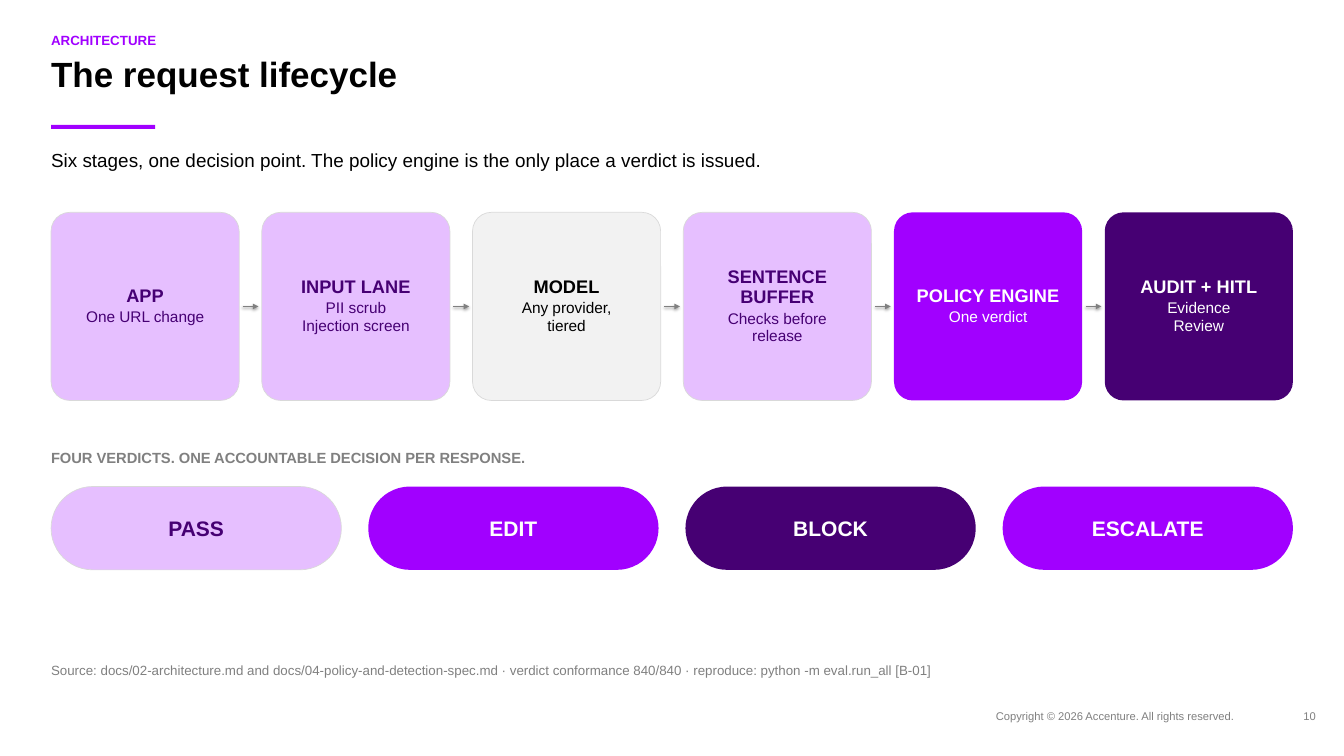
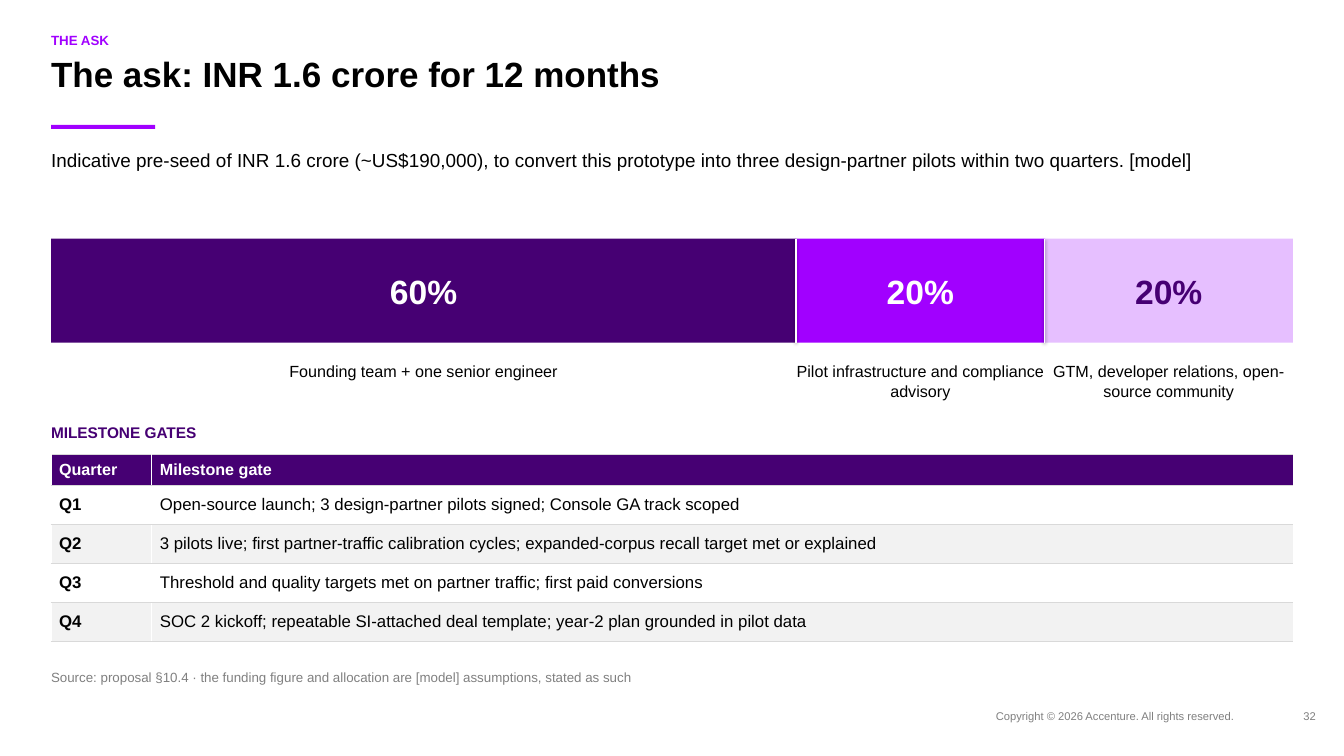
"""Build two proposal slides: the request lifecycle and the funding ask."""
from itertools import accumulate
from typing import NamedTuple, Optional

from lxml import etree
from pptx import Presentation
from pptx import util as u
from pptx.dml.color import RGBColor
from pptx.enum import shapes, text
from pptx.oxml import ns

COLOURS = {
    "white": "FFFFFF",
    "black": "000000",
    "purple": "A100FF",
    "deep": "460073",
    "lilac": "E6BFFF",
    "pale": "F2F2F2",
    "rule": "D9D9D9",
    "grey": "808080",
}
FONT = "Arial"
LEFT, WIDTH = 0.76, 18.48
CENTER, RIGHT = text.PP_ALIGN.CENTER, text.PP_ALIGN.RIGHT
SHAPE = shapes.MSO_SHAPE


class Box(NamedTuple):
    left: float
    top: float
    width: float
    height: float

    def inches(self) -> list:
        return [u.Inches(side) for side in self]


class Style(NamedTuple):
    size: float
    colour: str = "black"
    bold: bool = False
    align: text.PP_ALIGN = text.PP_ALIGN.LEFT
    spacing: Optional[float] = None
    before: float = 0


class Tone(NamedTuple):
    fill: str
    ink: str
    outline: Optional[str] = None


class Stage(NamedTuple):
    name: str
    details: list[str]
    tone: Tone


class Verdict(NamedTuple):
    name: str
    tone: Tone


class Allocation(NamedTuple):
    percent: int
    purpose: str
    tone: Tone


class Page(NamedTuple):
    section: str
    title: str
    lead: str
    source: str
    source_top: float
    number: int


LILAC = Tone("lilac", "deep", "rule")
PALE = Tone("pale", "black", "rule")
PURPLE = Tone("purple", "white")
DEEP = Tone("deep", "white")

LIFECYCLE = Page(
    "ARCHITECTURE",
    "The request lifecycle",
    "Six stages, one decision point. The policy engine is the only place a verdict is issued.",
    "Source: docs/02-architecture.md and docs/04-policy-and-detection-spec.md · "
    "verdict conformance 840/840 · reproduce: python -m eval.run_all [B-01]",
    9.86,
    10,
)
ASK = Page(
    "THE ASK",
    "The ask: INR 1.6 crore for 12 months",
    "Indicative pre-seed of INR 1.6 crore (~US$190,000), to convert this prototype into "
    "three design-partner pilots within two quarters. [model]",
    "Source: proposal §10.4 · the funding figure and allocation are [model] assumptions, stated as such",
    9.96,
    32,
)
STAGES = [
    Stage("APP", ["One URL change"], LILAC),
    Stage("INPUT LANE", ["PII scrub", "Injection screen"], LILAC),
    Stage("MODEL", ["Any provider,", "tiered"], PALE),
    Stage("SENTENCE BUFFER", ["Checks before", "release"], LILAC),
    Stage("POLICY ENGINE", ["One verdict"], PURPLE),
    Stage("AUDIT + HITL", ["Evidence", "Review"], DEEP),
]
VERDICTS = [
    Verdict("PASS", LILAC),
    Verdict("EDIT", PURPLE),
    Verdict("BLOCK", DEEP),
    Verdict("ESCALATE", PURPLE),
]
ALLOCATIONS = [
    Allocation(60, "Founding team + one senior engineer", DEEP),
    Allocation(20, "Pilot infrastructure and compliance advisory", PURPLE),
    Allocation(20, "GTM, developer relations, open-source community", Tone("lilac", "deep")),
]
MILESTONES = [
    ("Quarter", "Milestone gate"),
    ("Q1", "Open-source launch; 3 design-partner pilots signed; Console GA track scoped"),
    ("Q2", "3 pilots live; first partner-traffic calibration cycles; "
           "expanded-corpus recall target met or explained"),
    ("Q3", "Threshold and quality targets met on partner traffic; first paid conversions"),
    ("Q4", "SOC 2 kickoff; repeatable SI-attached deal template; year-2 plan grounded in pilot data"),
]


def rgb(name: str) -> RGBColor:
    return RGBColor.from_string(COLOURS[name])


def write(frame, lines: list[str], styles: list[Style]) -> None:
    frame.text = "\n".join(lines)
    for paragraph, style in zip(frame.paragraphs, styles):
        paragraph.alignment = style.align
        paragraph.line_spacing = style.spacing
        paragraph.space_before = u.Pt(style.before)
        for run in paragraph.runs:
            run.font.name = FONT
            run.font.size = u.Pt(style.size)
            run.font.bold = style.bold
            run.font.color.rgb = rgb(style.colour)


def set_margins(holder, across: float, down: float) -> None:
    holder.margin_left = holder.margin_right = u.Inches(across)
    holder.margin_top = holder.margin_bottom = u.Inches(down)


def add_label(slide, box: Box, wording: str, style: Style) -> None:
    frame = slide.shapes.add_textbox(*box.inches()).text_frame
    frame.word_wrap = True
    frame.auto_size = text.MSO_AUTO_SIZE.SHAPE_TO_FIT_TEXT
    set_margins(frame, 0, 0)
    write(frame, [wording], [style])


def add_panel(slide, preset: SHAPE, box: Box, tone: Tone, lines: list[str] = (),
              styles: list[Style] = (), rounding: Optional[float] = None) -> None:
    panel = slide.shapes.add_shape(preset, *box.inches())
    panel.shadow.inherit = False
    panel.fill.solid()
    panel.fill.fore_color.rgb = rgb(tone.fill)
    if tone.outline:
        panel.line.color.rgb = rgb(tone.outline)
        panel.line.width = u.Pt(0.75)
    else:
        panel.line.fill.background()
    if rounding is not None:
        panel.adjustments[0] = rounding
    if lines:
        frame = panel.text_frame
        frame.word_wrap = True
        frame.vertical_anchor = text.MSO_ANCHOR.MIDDLE
        set_margins(frame, 0.12, 0.06)
        write(frame, lines, styles)


def add_line(slide, start: tuple[float, float], end: tuple[float, float],
             colour: str, arrow: bool = False) -> None:
    ends = [u.Inches(value) for value in (*start, *end)]
    connector = slide.shapes.add_connector(shapes.MSO_CONNECTOR.STRAIGHT, *ends)
    connector.line.color.rgb = rgb(colour)
    connector.line.width = u.Pt(1.5)
    if arrow:
        etree.SubElement(connector.line._get_or_add_ln(), ns.qn("a:tailEnd"), type="triangle")


def add_page(deck, page: Page):
    slide = deck.slides.add_slide(deck.slide_layouts[5])
    title = slide.shapes.title
    title.left, title.top, title.width, title.height = Box(LEFT, 0.82, WIDTH, 0.95).inches()
    frame = title.text_frame
    frame.word_wrap = True
    frame.auto_size = text.MSO_AUTO_SIZE.NONE
    frame.vertical_anchor = text.MSO_ANCHOR.TOP
    set_margins(frame, 0, 0)
    write(frame, [page.title], [Style(37.5, bold=True, spacing=0.95)])

    add_label(slide, Box(LEFT, 0.48, WIDTH, 0.3), page.section, Style(14.25, "purple", True))
    add_panel(slide, SHAPE.RECTANGLE, Box(LEFT, 1.86, 1.55, 0.06), PURPLE)
    add_label(slide, Box(LEFT, 2.2, WIDTH, 0.39), page.lead, Style(20.25, spacing=1.05))
    add_label(slide, Box(LEFT, page.source_top, WIDTH, 0.3), page.source, Style(14.25, "grey"))
    add_label(slide, Box(14.82, 10.55, 3.93, 0.24),
              "Copyright © 2026 Accenture. All rights reserved.", Style(12, "grey"))
    add_label(slide, Box(18.98, 10.55, 0.6, 0.24), str(page.number),
              Style(12, "grey", align=RIGHT))
    return slide


def row_of_boxes(count: int, top: float, width: float, height: float) -> list[Box]:
    pitch = (WIDTH - width) / (count - 1)
    return [Box(LEFT + index * pitch, top, width, height) for index in range(count)]


def build_lifecycle(deck) -> None:
    slide = add_page(deck, LIFECYCLE)
    stage_boxes = row_of_boxes(len(STAGES), 3.16, 2.8, 2.8)
    for stage, box in zip(STAGES, stage_boxes):
        heading = Style(19.5, stage.tone.ink, True, CENTER, 0.92)
        first = heading._replace(size=16.5, bold=False, before=3)
        add_panel(slide, SHAPE.ROUNDED_RECTANGLE, box, stage.tone, [stage.name, *stage.details],
                  [heading, first, first._replace(before=1)], 0.1)
    clearance = 0.05
    for box, following in zip(stage_boxes, stage_boxes[1:]):
        middle = box.top + box.height / 2
        add_line(slide, (box.left + box.width + clearance, middle),
                 (following.left - clearance, middle), "grey", arrow=True)

    add_label(slide, Box(LEFT, 6.68, WIDTH, 0.32),
              "FOUR VERDICTS. ONE ACCOUNTABLE DECISION PER RESPONSE.", Style(15.75, "grey", True))
    for verdict, box in zip(VERDICTS, row_of_boxes(len(VERDICTS), 7.24, 4.32, 1.24)):
        add_panel(slide, SHAPE.ROUNDED_RECTANGLE, box, verdict.tone, [verdict.name],
                  [Style(22.5, verdict.tone.ink, True, CENTER)], 0.5)


def border_cell(cell) -> None:
    edges = {"lnL": ("white", 1), "lnR": ("white", 1), "lnT": ("rule", 0.75), "lnB": ("rule", 0.75)}
    properties = cell._tc.get_or_add_tcPr()
    for edge, (colour, points) in edges.items():
        border = etree.SubElement(properties, ns.qn(f"a:{edge}"), w=str(u.Pt(points)))
        fill = etree.SubElement(border, ns.qn("a:solidFill"))
        etree.SubElement(fill, ns.qn("a:srgbClr"), val=COLOURS[colour])


def add_milestones(slide) -> None:
    heights = [0.46] + [0.58] * (len(MILESTONES) - 1)
    box = Box(LEFT, 6.76, WIDTH, sum(heights))
    table = slide.shapes.add_table(len(MILESTONES), 2, *box.inches()).table
    table.horz_banding = False
    for column, width in zip(table.columns, (1.5, WIDTH - 1.5)):
        column.width = u.Inches(width)
    for row, height in enumerate(heights):
        table.rows[row].height = u.Inches(height)
        for column, wording in enumerate(MILESTONES[row]):
            if row == 0:
                fill, style = "deep", Style(17.25, "white", True)
            else:
                fill, style = ("white" if row % 2 else "pale"), Style(18, bold=column == 0)
            cell = table.cell(row, column)
            border_cell(cell)
            cell.fill.solid()
            cell.fill.fore_color.rgb = rgb(fill)
            cell.vertical_anchor = text.MSO_ANCHOR.MIDDLE
            set_margins(cell, 0.12, 0.05)
            write(cell.text_frame, [wording], [style])


def build_ask(deck) -> None:
    slide = add_page(deck, ASK)
    bar_top, bar_height = 3.55, 1.55
    widths = [WIDTH * allocation.percent / 100 for allocation in ALLOCATIONS]
    lefts = list(accumulate(widths[:-1], initial=LEFT))
    for allocation, left, width in zip(ALLOCATIONS, lefts, widths):
        add_panel(slide, SHAPE.RECTANGLE, Box(left, bar_top, width, bar_height), allocation.tone,
                  [f"{allocation.percent}%"], [Style(36, allocation.tone.ink, True, CENTER)])
        add_label(slide, Box(left, 5.36, width, 0.9), allocation.purpose,
                  Style(17.25, align=CENTER, spacing=1.06))
    for divider in lefts[1:]:
        add_line(slide, (divider, bar_top), (divider, bar_top + bar_height), "white")

    add_label(slide, Box(LEFT, 6.3, WIDTH, 0.38), "MILESTONE GATES", Style(16.5, "deep", True))
    add_milestones(slide)


def main() -> None:
    deck = Presentation()
    deck.slide_width, deck.slide_height = u.Inches(20), u.Inches(11.25)
    build_lifecycle(deck)
    build_ask(deck)
    deck.save("out.pptx")


if __name__ == "__main__":
    main()
